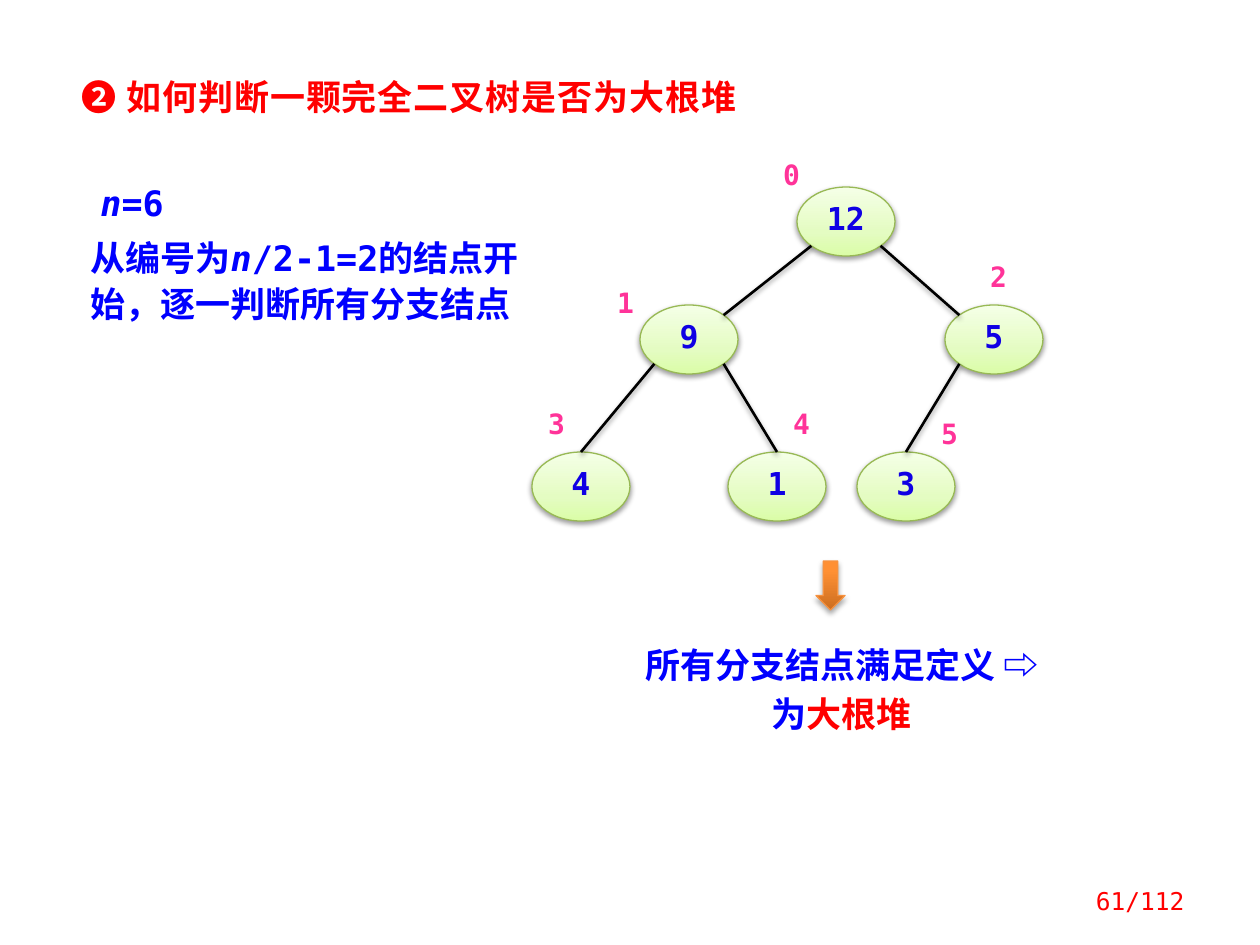
from copy import deepcopy
from dataclasses import dataclass
from math import sqrt

from lxml import etree
from pptx import Presentation
from pptx import util as u
from pptx.dml.color import RGBColor
from pptx.enum import shapes, text
from pptx.oxml.ns import qn

PX = u.Inches(1) / 126


@dataclass(frozen=True)
class Theme:
    font: str = "DejaVu Sans Mono"
    red: str = "FF0000"
    blue: str = "0000FF"
    pink: str = "FF3399"
    value: str = "1000E4"
    edge: str = "000000"
    node_line: str = "98B955"
    arrow_line: str = "F69240"
    node_fill: tuple = ((0, "DAFDA7"), (0.35, "E4FCC2"), (1, "F5FFE7"))
    arrow_fill: tuple = ((0, "CC6E20"), (0.8, "FF9034"), (1, "FF9136"))
    node_shadow: tuple = (38, 1.6)
    arrow_shadow: tuple = (35, 1.8)
    heading: int = 20
    number: int = 18
    index: int = 16
    footer: int = 14


def px(length):
    return u.Emu(round(length * PX))


def add_shadow(effects, alpha, distance):
    """Put a soft shadow straight below; alpha in percent, distance in points."""
    shadow = etree.SubElement(effects, qn("a:outerShdw"), {
        "blurRad": str(u.Pt(3.1)), "dist": str(u.Pt(distance)),
        "dir": "5400000", "rotWithShape": "0"})
    color = etree.SubElement(shadow, qn("a:srgbClr"), val="000000")
    etree.SubElement(color, qn("a:alpha"), val=str(alpha * 1000))


class SlideBuilder:
    def __init__(self, slide, theme):
        self.shapes = slide.shapes
        self.theme = theme

    def fill_frame(self, frame, spans, size, bold=True, spacing=None, **para_format):
        """Fill a frame with one paragraph of (text, colour, italic) spans."""
        para = frame.paragraphs[0]
        for name, value in para_format.items():
            setattr(para, name, value)
        for words, color, italic in spans:
            span = para.add_run()
            span.text = words
            style = {"name": self.theme.font, "size": u.Pt(size),
                     "bold": bold, "italic": italic}
            for name, value in style.items():
                setattr(span.font, name, value)
            span.font.color.rgb = RGBColor.from_string(color)
            if spacing:
                span.font._element.set("spc", str(spacing))

    def text(self, bounds, spans, size, margin=None,
             anchor=text.MSO_ANCHOR.TOP, **format_values):
        box = self.shapes.add_textbox(*map(px, bounds))
        frame = box.text_frame
        frame.word_wrap = True
        frame.vertical_anchor = anchor
        if margin is not None:
            for side in ("left", "top", "right", "bottom"):
                setattr(frame, f"margin_{side}", px(margin))
        self.fill_frame(frame, spans, size, **format_values)

    def glossy(self, kind, bounds, stops, line, shadow):
        """Add a shape with a three-stop upward gradient and a shadow."""
        shape = self.shapes.add_shape(kind, *map(px, bounds))
        shape.fill.gradient()
        shape.fill.gradient_angle = 90
        stop_list = shape._element.spPr.find(".//" + qn("a:gsLst"))
        stop_list.insert(1, deepcopy(stop_list[0]))
        for stop, (position, color) in zip(shape.fill.gradient_stops, stops):
            stop.position = position
            stop.color.rgb = RGBColor.from_string(color)
        shape.line.color.rgb = RGBColor.from_string(line)
        shape.line.width = u.Pt(0.75)
        shape.shadow.inherit = False
        add_shadow(shape._element.spPr.find(qn("a:effectLst")), *shadow)
        return shape

    def node(self, bounds, value):
        theme = self.theme
        shape = self.glossy(shapes.MSO_SHAPE.OVAL, bounds, theme.node_fill,
                            theme.node_line, theme.node_shadow)
        shape.text_frame.vertical_anchor = text.MSO_ANCHOR.MIDDLE
        self.fill_frame(shape.text_frame, [(value, theme.value, False)], theme.number,
                        alignment=text.PP_ALIGN.CENTER, line_spacing=0.8)
        return shape

    def edge(self, parent, child, is_leaf):
        """Join a node's lower diagonal to a leaf's top or a branch's upper diagonal."""
        side = 1 if child.left > parent.left else -1
        start = self.diagonal(parent, side, 1)
        end = self.diagonal(child, -side, -1)
        line = self.shapes.add_connector(shapes.MSO_CONNECTOR.STRAIGHT, *start, *end)
        if is_leaf:
            line.end_connect(child, 0)
        line.line.color.rgb = RGBColor.from_string(self.theme.edge)
        line.line.width = u.Pt(1.5)
        effects = etree.SubElement(line._element.spPr, qn("a:effectLst"))
        add_shadow(effects, *self.theme.node_shadow)

    @staticmethod
    def diagonal(node, side, down):
        """Point of an ellipse at 45 degrees."""
        return (round(node.left + node.width / 2 * (1 + side / sqrt(2))),
                round(node.top + node.height / 2 * (1 + down / sqrt(2))))


def main():
    deck = Presentation()
    deck.slide_width, deck.slide_height = px(1260), px(945)
    theme = Theme()
    page = SlideBuilder(deck.slides.add_slide(deck.slide_layouts[6]), theme)
    center = text.PP_ALIGN.CENTER

    # Level order: value, node corner, index label corner
    heap = [("12", (797, 187), (767, 164)),
            ("9", (640, 305), (601, 292)),
            ("5", (945, 305), (974, 266)),
            ("4", (532, 452), (532, 413)),
            ("1", (728, 452), (777, 413)),
            ("3", (857, 452), (925, 423))]
    nodes = [page.node((*corner, 98, 69), value) for value, corner, _ in heap]
    for i in range(1, len(nodes)):
        page.edge(nodes[(i - 1) // 2], nodes[i], is_leaf=2 * i + 1 >= len(nodes))
    for i, (_, _, corner) in enumerate(heap):
        page.text((*corner, 49, 28), [(str(i), theme.pink, False)], theme.index,
                  margin=0, alignment=center, line_spacing=0.8)

    page.text((69, 69, 738, 55),
              [("❷ 如何判断一颗完全二叉树是否为大根堆", theme.red, False)],
              theme.heading, spacing=50)
    page.text((88, 175, 168, 55),
              [("n", theme.blue, True), ("=6", theme.blue, False)], theme.heading)
    page.text((78, 227, 473, 105),
              [("从编号为", theme.blue, False), ("n", theme.blue, True),
               ("/2-1=2的结点开始，逐一判断所有分支结点", theme.blue, False)],
              theme.heading, line_spacing=u.Pt(26))
    page.glossy(shapes.MSO_SHAPE.DOWN_ARROW, (816, 561, 29, 49),
                theme.arrow_fill, theme.arrow_line, theme.arrow_shadow)
    page.text((620, 630, 444, 107),
              [("所有分支结点满足定义 ⇨ 为", theme.blue, False),
               ("大根堆", theme.red, False)],
              theme.heading, alignment=center, line_spacing=u.Pt(28))
    page.text((1043, 876, 154, 50), [("61/112", theme.red, False)], theme.footer,
              bold=False, anchor=text.MSO_ANCHOR.MIDDLE,
              alignment=text.PP_ALIGN.RIGHT)
    deck.save("out.pptx")


if __name__ == "__main__":
    main()
